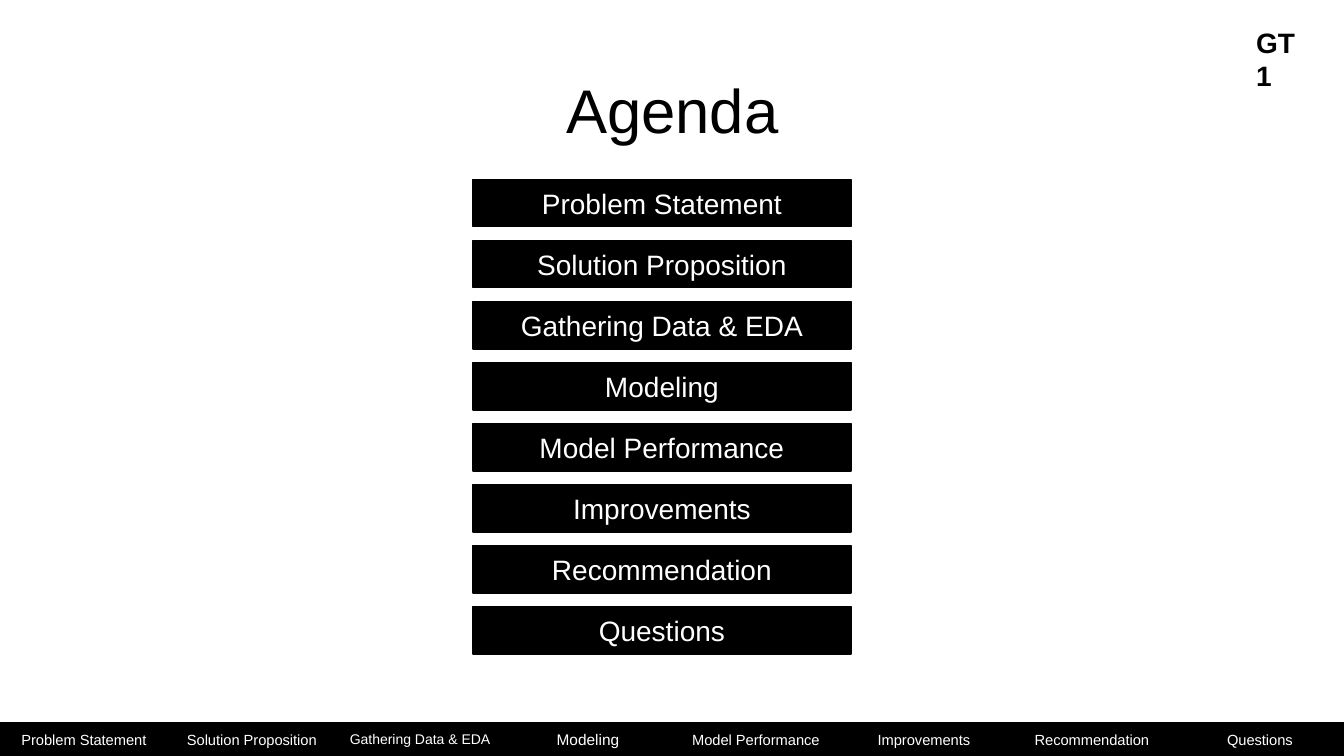
from dataclasses import dataclass

import pptx
import pptx.dml.color
import pptx.enum.shapes
import pptx.enum.text
import pptx.shapes.autoshape
import pptx.slide
import pptx.util

Inches = pptx.util.Inches
BLACK = "000000"
WHITE = "FFFFFF"
SLIDE_WIDTH = 13.33
SLIDE_HEIGHT = 7.5
AGENDA_LEFT, AGENDA_WIDTH, AGENDA_HEIGHT = 4.69, 3.75, 0.47
AGENDA_FIRST_TOP, AGENDA_LAST_TOP = 1.78, 6.02
FOOTER_HEIGHT = 0.33


@dataclass(frozen=True)
class Section:
    name: str
    footer_size: float = 10.5


@dataclass(frozen=True)
class Area:
    left: float
    top: float
    width: float
    height: float

    def lengths(self) -> tuple[int, int, int, int]:
        return Inches(self.left), Inches(self.top), Inches(self.width), Inches(self.height)


SECTIONS = [
    Section("Problem Statement"),
    Section("Solution Proposition"),
    Section("Gathering Data & EDA", 10),
    Section("Modeling", 11),
    Section("Model Performance"),
    Section("Improvements"),
    Section("Recommendation"),
    Section("Questions"),
]


def color(value: str) -> pptx.dml.color.RGBColor:
    return pptx.dml.color.RGBColor.from_string(value)


def write(
    box: pptx.shapes.autoshape.Shape,
    text: str,
    *,
    size: float,
    ink: str = BLACK,
    bold: bool = False,
    align: pptx.enum.text.PP_ALIGN = pptx.enum.text.PP_ALIGN.CENTER,
    anchor: pptx.enum.text.MSO_ANCHOR = pptx.enum.text.MSO_ANCHOR.MIDDLE,
    line_spacing: float = 1.0,
) -> None:
    frame = box.text_frame
    frame.word_wrap = True
    frame.vertical_anchor = anchor
    para = frame.paragraphs[0]
    para.alignment = align
    para.line_spacing = line_spacing
    span = para.add_run()
    span.text = text
    span.font.name = "Arial"
    span.font.size = pptx.util.Pt(size)
    span.font.bold = bold
    span.font.color.rgb = color(ink)


def add_bar(page: pptx.slide.Slide, area: Area, text: str, size: float) -> None:
    bar = page.shapes.add_shape(pptx.enum.shapes.MSO_SHAPE.RECTANGLE, *area.lengths())
    bar.shadow.inherit = False
    bar.fill.solid()
    bar.fill.fore_color.rgb = color(BLACK)
    bar.line.color.rgb = color(BLACK)
    bar.line.width = pptx.util.Pt(1)
    write(bar, text, size=size, ink=WHITE)


def add_title(page: pptx.slide.Slide) -> None:
    title = page.shapes.add_textbox(*Area(0.92, 0.4, 11.5, 1.45).lengths())
    write(title, "Agenda", size=44, line_spacing=0.9)


def add_agenda(page: pptx.slide.Slide) -> None:
    pitch = (AGENDA_LAST_TOP - AGENDA_FIRST_TOP) / (len(SECTIONS) - 1)
    for index, section in enumerate(SECTIONS):
        top = AGENDA_FIRST_TOP + index * pitch
        add_bar(page, Area(AGENDA_LEFT, top, AGENDA_WIDTH, AGENDA_HEIGHT), section.name, 20)


def add_footer(page: pptx.slide.Slide) -> None:
    width = SLIDE_WIDTH / len(SECTIONS)
    top = SLIDE_HEIGHT - FOOTER_HEIGHT
    for index, section in enumerate(SECTIONS):
        area = Area(index * width, top, width, FOOTER_HEIGHT)
        add_bar(page, area, section.name, section.footer_size)


def add_team_label(page: pptx.slide.Slide) -> None:
    label = page.shapes.add_textbox(*Area(12.36, 0.2, 0.68, 0.44).lengths())
    write(
        label,
        "GT1",
        size=20,
        bold=True,
        align=pptx.enum.text.PP_ALIGN.LEFT,
        anchor=pptx.enum.text.MSO_ANCHOR.TOP,
    )
    label.text_frame.auto_size = pptx.enum.text.MSO_AUTO_SIZE.SHAPE_TO_FIT_TEXT


def main() -> None:
    deck = pptx.Presentation()
    deck.slide_width = Inches(SLIDE_WIDTH)
    deck.slide_height = Inches(SLIDE_HEIGHT)
    page = deck.slides.add_slide(deck.slide_layouts[6])
    add_title(page)
    add_agenda(page)
    add_footer(page)
    add_team_label(page)
    deck.save("out.pptx")


if __name__ == "__main__":
    main()
